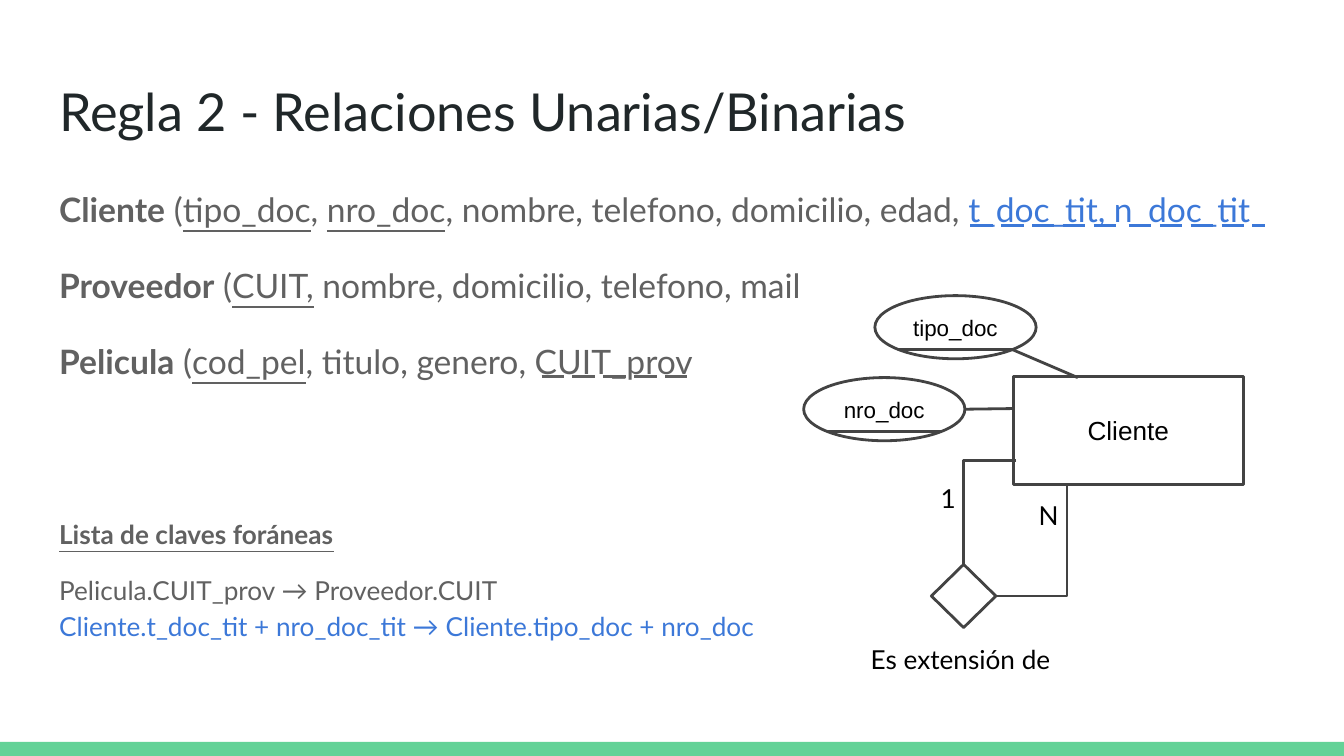
from lxml.etree import SubElement
from pptx import Presentation
from pptx.dml.color import RGBColor
from pptx.enum.dml import MSO_LINE as Dash
from pptx.enum.shapes import MSO_CONNECTOR as Connector, MSO_SHAPE as Shape
from pptx.enum.text import MSO_ANCHOR as Anchor, MSO_AUTO_SIZE as AutoSize, PP_ALIGN as Align
from pptx.oxml.ns import qn
from pptx.util import Pt

SCALE = 4572  # EMU in one px, 200 px to the inch
INK, GREY, BLUE, BLACK, STROKE, GREEN = "202729", "616161", "3C78D8", "000000", "434343", "63D297"
COMPARISON_LAYOUT = 4

TABLES = [
    [("Cliente", "b"), (" (", ""), ("tipo_doc", "u"), (", ", ""), ("nro_doc", "u"),
     (", nombre, telefono, domicilio, edad, ", ""), ("t_doc_tit, n_doc_tit", "", BLUE)],
    [("Proveedor", "b"), (" (", ""), ("CUIT,", "u"), (" nombre, domicilio, telefono, mail", "")],
    [("Pelicula", "b"), (" (", ""), ("cod_pel", "u"), (", titulo, genero, CUIT_prov", "")],
]
LIST_HEADING = [[("Lista de claves foráneas", "bu")]]
FOREIGN_KEYS = [[
    ("Pelicula.CUIT_prov → Proveedor.CUIT", ""), ("\n", ""),
    ("Cliente.t_doc_tit + nro_doc_tit → Cliente.tipo_doc + nro_doc", "", BLUE),
]]


def px(*lengths):
    return [length * SCALE for length in lengths]


def rgb(code):
    return RGBColor.from_string(code)


def set_font(font, name, size, color):
    font.name, font.size = name, Pt(size)
    font.color.rgb = rgb(color)


def place(shape, area):
    shape.left, shape.top, shape.width, shape.height = px(*area)


def set_frame(frame, anchor=Anchor.TOP):
    frame.word_wrap = True
    frame.auto_size = AutoSize.NONE
    frame.vertical_anchor = anchor
    frame.margin_left = frame.margin_top = frame.margin_right = frame.margin_bottom = px(20)[0]


def fill_title(title, text):
    place(title, (68, 98, 1864, 126))
    set_frame(title.text_frame)
    para = title.text_frame.paragraphs[0]
    para.text, para.alignment = text, Align.LEFT
    set_font(para.font, "Lato", 28, INK)


def add_span(para, text, style, color=GREY):
    """Add one run; style holds b for bold and u for underlined."""
    if text == "\n":
        para.add_line_break()
        return
    span = para.add_run()
    span.text = text
    span.font.bold = "b" in style
    span.font.underline = "u" in style
    span.font.color.rgb = rgb(color)


def fill_body(body, area, size, paragraphs):
    place(body, area)
    frame = body.text_frame
    set_frame(frame)
    for number, spans in enumerate(paragraphs):
        para = frame.add_paragraph() if number else frame.paragraphs[0]
        properties = para._p.get_or_add_pPr()
        properties.set("marL", "0")
        properties.set("indent", "0")
        SubElement(properties, qn("a:buNone"))
        para.line_spacing = 1.15
        para.space_before = Pt(16 if number else 0)
        para.space_after = Pt(0)
        set_font(para.font, "Lato", size, GREY)
        for span in spans:
            add_span(para, *span)
    frame.paragraphs[-1].space_after = Pt(16)


def add_node(page, kind, area, text="", size=12):
    node = page.shapes.add_shape(kind, *px(*area))
    node.shadow.inherit = False
    node.fill.background()
    node.line.color.rgb, node.line.width = rgb(STROKE), Pt(1.5)
    if text:
        set_frame(node.text_frame, Anchor.MIDDLE)
        para = node.text_frame.paragraphs[0]
        para.text, para.alignment = text, Align.CENTER
        set_font(para.font, "Arial", size, BLACK)


def add_line(page, start, end, color=STROKE, dash=None, kind=Connector.STRAIGHT):
    line = page.shapes.add_connector(kind, *px(*start, *end))
    line.line.color.rgb, line.line.width = rgb(color), Pt(1.5)
    if dash:
        line.line.dash_style = dash
    SubElement(line._element.spPr, qn("a:effectLst"))
    return line


def add_corner(page, start, end):
    """Add a connector that turns once, leaving its start horizontally."""
    corner = add_line(page, start, end, kind=Connector.ELBOW)
    corner._element.spPr.find(qn("a:prstGeom")).set("prst", "bentConnector2")


def add_label(page, area, text):
    box = page.shapes.add_textbox(*px(*area))
    set_frame(box.text_frame)
    para = box.text_frame.paragraphs[0]
    para.text = text
    set_font(para.font, "Lato", 14, BLACK)


def add_footer_bar(page):
    bar = page.shapes.add_shape(Shape.RECTANGLE, *px(0, 1104, 2000, 21))
    bar.shadow.inherit = False
    bar.fill.solid()
    bar.fill.fore_color.rgb = rgb(GREEN)
    bar.line.fill.background()


def add_diagram(page):
    add_node(page, Shape.RECTANGLE, (1508, 560, 342, 161), "Cliente", 14)
    for left, top, name in ((1302, 440, "tipo_doc"), (1196, 562, "nro_doc")):
        add_node(page, Shape.OVAL, (left, top, 240, 94), name)
        add_line(page, (left + 34, top + 80), (left + 204, top + 80))
    add_line(page, (1506, 520), (1604, 562))
    add_line(page, (1436, 609), (1510, 608))
    add_node(page, Shape.FLOWCHART_DECISION, (1386, 840, 96, 94))
    add_corner(page, (1512, 685), (1434, 840))
    add_corner(page, (1482, 887), (1588, 722))
    add_label(page, (1526, 723, 60, 94), "N")
    add_label(page, (1276, 938, 330, 86), "Es extensión de")
    add_label(page, (1380, 698, 60, 94), "1")


def main():
    deck = Presentation()
    deck.slide_width, deck.slide_height = px(2000, 1125)
    page = deck.slides.add_slide(deck.slide_layouts[COMPARISON_LAYOUT])
    title, tables, keys, heading, spare = page.placeholders
    spare.element.getparent().remove(spare.element)

    add_footer_bar(page)
    fill_title(title, "Regla 2 - Relaciones Unarias/Binarias")
    fill_body(tables, (68, 252, 1902, 110), 18, TABLES)
    fill_body(keys, (68, 828, 1864, 110), 14, FOREIGN_KEYS)
    fill_body(heading, (68, 745, 1864, 110), 14, LIST_HEADING)
    for left, right, y, color in ((806, 1032, 560, GREY), (1444, 1670, 336, BLUE), (1680, 1882, 336, BLUE)):
        add_line(page, (left, y), (right, y), color, Dash.LONG_DASH)
    add_diagram(page)
    deck.save("out.pptx")


if __name__ == "__main__":
    main()
